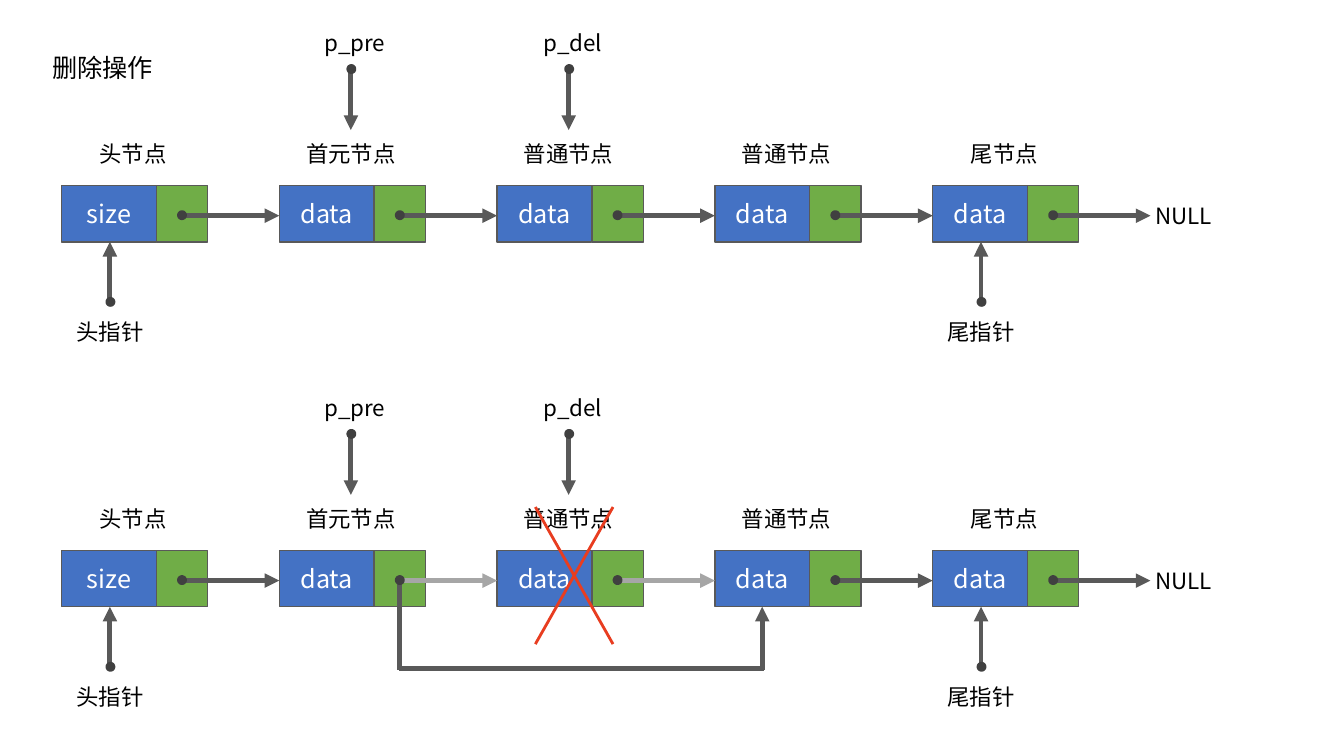
from lxml.etree import SubElement as Sub
from pptx import Presentation as Deck
from pptx.dml.color import RGBColor as Rgb
from pptx.enum.shapes import MSO_CONNECTOR as Wire, MSO_SHAPE as Kind
from pptx.enum.text import MSO_ANCHOR as Anchor, MSO_AUTO_SIZE as Fit, PP_ALIGN as Align
from pptx.oxml.ns import qn
from pptx.util import Pt

PX = 9144  # EMU per px, 100 px to the inch
FONT = "Noto Sans CJK SC"
HUES = {
    "data": "4472C4", "next": "70AD47", "edge": "595959", "faded": "A6A6A6",
    "dot": "404040", "cross": "E83D20", "ink": "000000", "light": "FFFFFF",
}

# Node grid and the drop from the first list to the second
LEFT, STEP, TOP, DROP = 61, 216, 184, 362
NODES = [("头节点", "size"), ("首元节点", "data"), ("普通节点", "data"),
         ("普通节点", "data"), ("尾节点", "data")]
DOWN = {1: "p_pre", 2: "p_del"}
UP = {0: "头指针", 4: "尾指针"}


def hue(name):
    return Rgb.from_string(HUES[name])


def px(*vals):
    return [val * PX for val in vals]


def style(obj, **form):
    for key, val in form.items():
        setattr(obj, key, val)


def write(frame, text, size, ink, align):
    para = frame.paragraphs[0]
    para.alignment = align
    run = para.add_run()
    run.text = text
    style(run.font, size=Pt(size), name=FONT)
    run.font.color.rgb = hue(ink)
    Sub(run.font._element, qn("a:ea"), typeface=FONT)


def label(art, text, mid, top, wide=104, high=37, size=16, align=Align.CENTER):
    box = art.add_textbox(*px(mid - wide // 2, top, wide, high))
    style(box.text_frame, word_wrap=True, auto_size=Fit.SHAPE_TO_FIT_TEXT)
    write(box.text_frame, text, size, "ink", align)


def form(art, kind, spot, fill, edge, width):
    item = art.add_shape(kind, *px(*spot))
    item.shadow.inherit = False
    item.fill.solid()
    item.fill.fore_color.rgb = hue(fill)
    item.line.color.rgb = hue(edge)
    item.line.width = Pt(width)
    return item


def dot(art, x, y):
    form(art, Kind.OVAL, (x - 2, y - 3, 5, 5), "dot", "dot", 3.5)


def line(art, *ends, tone="edge", width=3.5, head=True):
    wire = art.add_connector(Wire.STRAIGHT, *px(*ends))
    wire.line.color.rgb = hue(tone)
    wire.line.width = Pt(width)
    if head:
        Sub(wire.line._ln, qn("a:tailEnd"), type="triangle")
    Sub(wire._element.spPr, qn("a:effectLst"))


def node(art, x, y, name, text):
    cell = form(art, Kind.RECTANGLE, (x, y, 94, 56), "data", "edge", 1)
    cell.text_frame.vertical_anchor = Anchor.MIDDLE
    write(cell.text_frame, text, 18, "light", Align.CENTER)
    form(art, Kind.RECTANGLE, (x + 94, y, 51, 56), "next", "edge", 1)
    label(art, name, x + 71, y - 50, 130 if len(name) > 3 else 104)


def detour(art, x, y):
    # Path from the first data node around the deleted one
    end, low = x + 2 * STEP + 47, y + 117
    line(art, end, low + 2, end, y + 56)
    line(art, x + 119, low, end + 2, low, head=False)
    line(art, x + 119, y + 32, x + 119, low + 2, head=False)


def chain(art, y, faded=()):
    spots = [LEFT + STEP * i for i in range(len(NODES))]
    for x, (name, text) in zip(spots, NODES):
        node(art, x, y, name, text)
    if faded:
        detour(art, spots[1], y)
    # Links to the next node
    for i, x in enumerate(spots):
        tone = "faded" if i in faded else "edge"
        line(art, x + 119, y + 30, x + STEP, y + 30, tone=tone)
        dot(art, x + 119, y + 30)
    label(art, "NULL", spots[-1] + 249, y + 12)
    # Pointers from above and from below
    for i, text in DOWN.items():
        x = spots[i] + 71
        line(art, x, y - 113, x, y - 55)
        dot(art, x, y - 115)
        label(art, text, x + 4, y - 160)
    for i, text in UP.items():
        x = spots[i] + 48
        line(art, x, y + 115, x, y + 56)
        dot(art, x, y + 116)
        label(art, text, x, y + 127)


def main():
    deck = Deck()
    style(deck, slide_width=1333 * PX, slide_height=750 * PX)
    page = deck.slides.add_slide(deck.slide_layouts[6]).shapes
    label(page, "删除操作", 225, 47, 366, 40, 18, Align.LEFT)

    # List before and after the deletion
    chain(page.add_group_shape().shapes, TOP)
    chain(page.add_group_shape().shapes, TOP + DROP, faded=(1, 2))

    # Cross over the deleted node
    for x, end in ((531, 608), (608, 531)):
        line(page, x, 503, end, 639, tone="cross", width=2, head=False)
    deck.save("out.pptx")


if __name__ == "__main__":
    main()
